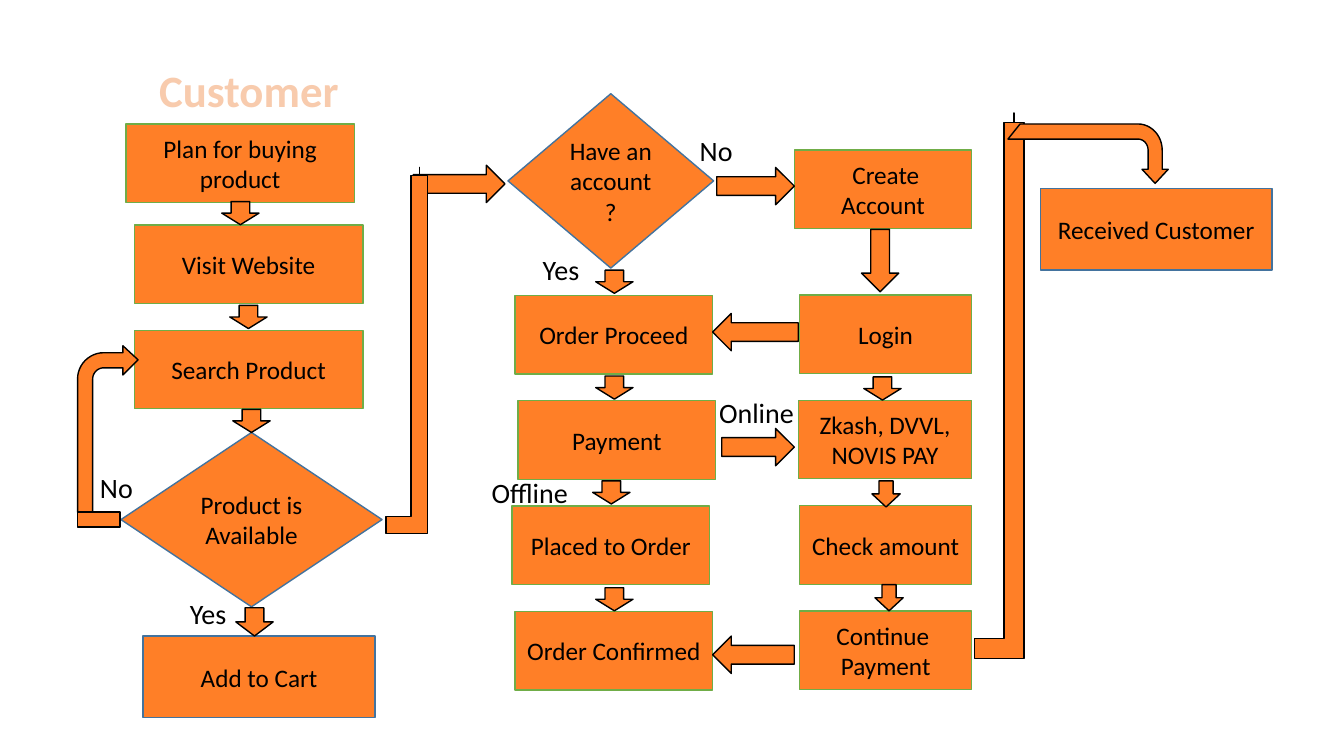
"""Build the customer order flowchart slide."""
import math
from dataclasses import dataclass
from typing import Union

import pptx
import pptx.dml.color
import pptx.enum.shapes
import pptx.enum.text
import pptx.oxml
import pptx.util
from pptx.oxml.ns import nsdecls

WIDTH = pptx.util.Inches(13.33)
HEIGHT = pptx.util.Inches(7.5)
COLUMN = WIDTH / 40
ROW = HEIGHT / 50
TIER = 6.97
BOX_HEIGHT = 5.2
LEFT_WIDTH = 6.8
ORDER_WIDTH = 5.88
ACCOUNT_RIGHT = 28.92
LEFT_TOP = 14.87
ORDER_TOP = 19.53
ACCOUNT_TOP = 19.5
ARROW_WIDTH = 1.11
ARROW_HEIGHT = 1.53
SIDE_HEIGHT = 2.47

FONT = "Calibri"
ORANGE = "FF7F27"
GREEN = "70AD47"
BLUE = "43739E"
BLACK = "000000"
PEACH = "F8CBAD"
OUTLINE = "ED7D31"

Preset = pptx.enum.shapes.MSO_SHAPE
Point = tuple[float, float]


@dataclass
class Area:
    """Place on the grid, in columns and rows."""
    left: float
    top: float
    width: float
    height: float

    def lengths(self) -> tuple[int, int, int, int]:
        """Return left, top, width and height in EMU."""
        return (round(self.left * COLUMN), round(self.top * ROW),
                round(self.width * COLUMN), round(self.height * ROW))


@dataclass
class Step:
    """One step of the flow."""
    text: str
    area: Area
    line: str = GREEN
    preset: Preset = Preset.RECTANGLE


@dataclass
class Arrow:
    """A block arrow or a plain bar between steps."""
    preset: Preset
    area: Area


@dataclass
class Label:
    """A free caption beside an arrow."""
    text: str
    left: float
    top: float
    width: float


@dataclass
class Bend:
    """A rounded quarter turn of a hooked arrow."""
    start: Point
    corner: Point
    end: Point

    def points(self, count: int = 12) -> list[Point]:
        """Return points along the quarter ellipse."""
        center = [s + e - c for s, c, e in zip(self.start, self.corner, self.end)]
        angles = [math.pi / 2 * index / count for index in range(count + 1)]
        return [tuple(m + math.cos(angle) * (s - m) + math.sin(angle) * (e - m)
                      for m, s, e in zip(center, self.start, self.end))
                for angle in angles]


Hook = list[Union[Point, Bend]]


def left_step(text: str, left: float, top: float) -> Step:
    """Describe a step of the browsing lane."""
    return Step(text, Area(left, top, LEFT_WIDTH, BOX_HEIGHT))


def order_step(text: str, left: float, tier: int) -> Step:
    """Describe a step of the order lane."""
    return Step(text, Area(left, ORDER_TOP + tier * TIER, ORDER_WIDTH, BOX_HEIGHT))


def account_step(text: str, left: float, top: float) -> Step:
    """Describe a step of the account lane, which ends at one right edge."""
    return Step(text, Area(left, top, ACCOUNT_RIGHT - left, BOX_HEIGHT))


def down(left: float, top: float, width: float = ARROW_WIDTH,
         height: float = ARROW_HEIGHT) -> Arrow:
    """Describe a downward arrow."""
    return Arrow(Preset.DOWN_ARROW, Area(left, top, width, height))


def side(preset: Preset, left: float, top: float, width: float) -> Arrow:
    """Describe a sideways arrow."""
    return Arrow(preset, Area(left, top, width, SIDE_HEIGHT))


STEPS = [
    left_step("Plan for buying product", 3.75, 8.2),
    left_step("Visit Website", 4, LEFT_TOP),
    left_step("Search Product", 4, LEFT_TOP + TIER),
    Step("Product is Available", Area(3.6, 28.6, 7.77, 11.53), BLUE, Preset.DIAMOND),
    Step("Add to Cart", Area(4.26, 42.07, 6.9, 5.4), BLUE),
    Step("Have an account?", Area(15.12, 6.2, 6.12, 11.53), BLUE, Preset.DIAMOND),
    order_step("Order Proceed", 15.33, 0),
    order_step("Payment", 15.42, 1),
    order_step("Placed to Order", 15.24, 2),
    order_step("Order Confirmed", 15.33, 3),
    account_step(" Create Account", 23.64, 9.93),
    account_step("Login", 23.79, ACCOUNT_TOP),
    account_step("Zkash, DVVL, NOVIS PAY", 23.76, ACCOUNT_TOP + TIER),
    account_step("Check amount", 23.8, ACCOUNT_TOP + 2 * TIER),
    account_step("Continue \nPayment", 23.8, ACCOUNT_TOP + 3 * TIER),
    Step("Received Customer", Area(30.96, 12.47, 6.9, 5.4), BLUE),
]
ARROWS = [
    down(6.6, 13.33), down(6.84, 20.2), down(6.93, 27.07), down(7.02, 40.2, height=1.87),
    down(17.73, 17.87), down(17.73, 24.87), down(17.64, 31.8), down(17.73, 38.87),
    down(25.64, 15.17, height=4.13), down(25.71, 24.93),
    down(25.95, 31.8, 0.84, 1.73), down(26.04, 38.67, 0.84, 1.73),
    side(Preset.RIGHT_ARROW, 12.3, 10.93, 2.73),
    side(Preset.RIGHT_ARROW, 21.33, 11.07, 2.31),
    side(Preset.RIGHT_ARROW, 21.48, 28.33, 2.16),
    side(Preset.LEFT_ARROW, 21.21, 20.73, 2.55),
    side(Preset.LEFT_ARROW, 21.21, 42.07, 2.43),
    Arrow(Preset.BENT_UP_ARROW, Area(11.49, 11.07, 0.99, 24.2)),
    Arrow(Preset.BENT_UP_ARROW, Area(29.01, 7.47, 1.17, 36.07)),
]
SEARCH_AGAIN: Hook = [
    (2.31, 33.87), Bend((2.31, 25.07), (2.31, 23.33), (3.09, 23.33)),
    (3.66, 23.33), (3.66, 22.87), (4.11, 23.8), (3.66, 24.8), (3.66, 24.33),
    Bend((3.09, 24.33), (2.76, 24.33), (2.76, 25.07)), (2.76, 34.73),
]
DELIVERY: Hook = [
    (30.36, 8.2), Bend((33.87, 8.2), (34.59, 8.2), (34.59, 9.93)),
    (34.59, 11.2), (34.77, 11.2), (34.38, 12.13), (33.99, 11.2), (34.17, 11.2),
    Bend((34.17, 9.93), (34.17, 9.2), (33.87, 9.2)), (30, 9.2),
]
SEARCH_AGAIN_TAIL = Arrow(Preset.RECTANGLE, Area(2.31, 33.87, 1.26, 1))
LABELS = [
    Label("No", 2.67, 30.8, 1.59), Label("Yes", 5.34, 39.13, 1.71),
    Label("Yes", 15.84, 16.4, 1.71), Label("No", 20.52, 8.53, 1.59),
    Label("Offline", 14.31, 31.13, 2.91), Label("Online", 21.09, 25.8, 2.85),
]


def color(value: str) -> pptx.dml.color.RGBColor:
    """Turn a hex string into a colour."""
    return pptx.dml.color.RGBColor.from_string(value)


def write(shape, text: str, size: int, ink: str = BLACK, bold: bool = False) -> None:
    """Fill a shape with centred text."""
    shape.text_frame.text = text
    for paragraph in shape.text_frame.paragraphs:
        paragraph.alignment = pptx.enum.text.PP_ALIGN.CENTER
        for run in paragraph.runs:
            run.font.name = FONT
            run.font.size = pptx.util.Pt(size)
            run.font.bold = bold
            run.font.color.rgb = color(ink)


def paint(shape, line: str = BLACK) -> None:
    """Give a shape the orange fill and a thin line."""
    shape.shadow.inherit = False
    shape.fill.solid()
    shape.fill.fore_color.rgb = color(ORANGE)
    shape.line.color.rgb = color(line)
    shape.line.width = pptx.util.Pt(1)


def draw_title(slide, text: str, area: Area) -> None:
    """Place the outlined title."""
    title = slide.shapes.title
    title.left, title.top, title.width, title.height = area.lengths()
    write(title, text, 32, PEACH, bold=True)
    title.text_frame.word_wrap = False
    title.text_frame.auto_size = pptx.enum.text.MSO_AUTO_SIZE.NONE
    outline = pptx.oxml.parse_xml(
        f'<a:ln {nsdecls("a")} w="22225"><a:solidFill><a:srgbClr val="{OUTLINE}"/>'
        '</a:solidFill></a:ln>')
    title.text_frame.paragraphs[0].runs[0]._r.get_or_add_rPr().insert(0, outline)


def draw_step(slide, step: Step) -> None:
    """Draw one step with its text."""
    shape = slide.shapes.add_shape(step.preset, *step.area.lengths())
    paint(shape, step.line)
    write(shape, step.text, 18)
    shape.text_frame.vertical_anchor = pptx.enum.text.MSO_ANCHOR.MIDDLE


def draw_arrow(slide, arrow: Arrow) -> None:
    """Draw one block arrow."""
    shape = slide.shapes.add_shape(arrow.preset, *arrow.area.lengths())
    paint(shape)
    if arrow.preset == Preset.BENT_UP_ARROW:
        for index, share in enumerate((0.5, 0, 0.25)):
            shape.adjustments[index] = share


def draw_hook(slide, hook: Hook) -> None:
    """Draw a hooked arrow with rounded turns."""
    points = [(round(column * COLUMN), round(row * ROW)) for part in hook
              for column, row in (part.points() if isinstance(part, Bend) else [part])]
    builder = slide.shapes.build_freeform(*points[0])
    builder.add_line_segments(points[1:], close=True)
    paint(builder.convert_to_shape())


def draw_label(slide, label: Label) -> None:
    """Draw one caption."""
    area = Area(label.left, label.top, label.width, 2.93)
    shape = slide.shapes.add_textbox(*area.lengths())
    write(shape, label.text, 20)
    shape.text_frame.word_wrap = False


def main() -> None:
    """Build and save the presentation."""
    presentation = pptx.Presentation()
    presentation.slide_width, presentation.slide_height = WIDTH, HEIGHT
    slide = presentation.slides.add_slide(presentation.slide_layouts[5])
    draw_title(slide, "Customer", Area(4.41, 3.8, 6, 4.27))
    for step in STEPS:
        draw_step(slide, step)
    for arrow in ARROWS:
        draw_arrow(slide, arrow)
    for hook in (SEARCH_AGAIN, DELIVERY):
        draw_hook(slide, hook)
    draw_arrow(slide, SEARCH_AGAIN_TAIL)
    for label in LABELS:
        draw_label(slide, label)
    presentation.save("out.pptx")


if __name__ == "__main__":
    main()
